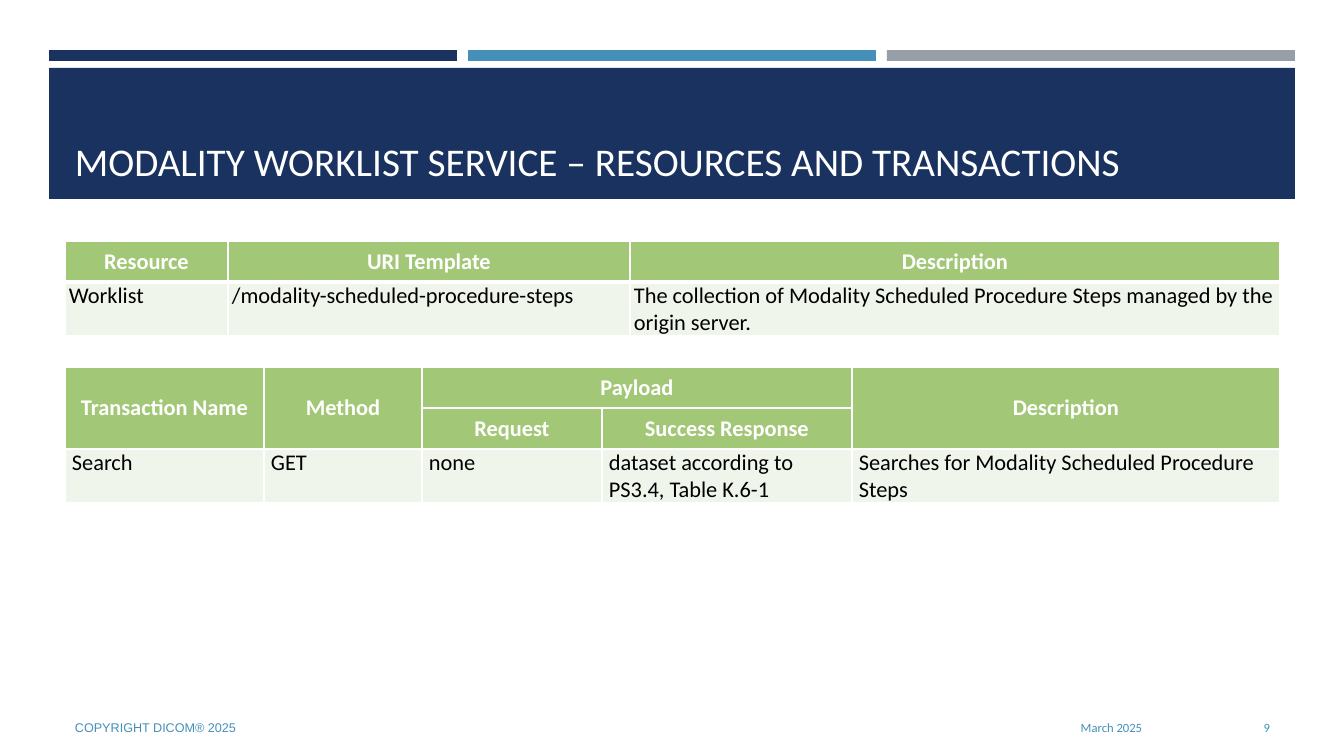
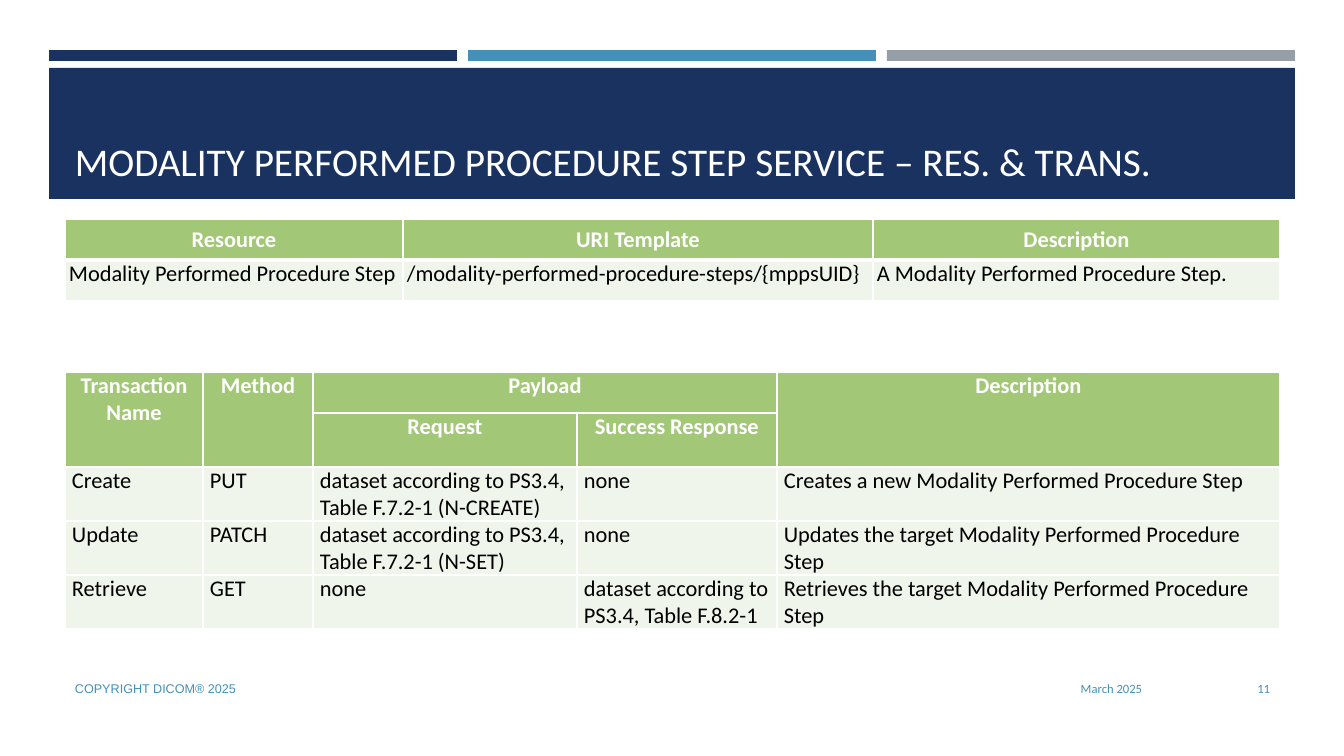
import pptx
import pptx.dml.color
import pptx.enum.shapes
import pptx.enum.text
import pptx.oxml
import pptx.oxml.ns
import pptx.util

RGBColor = pptx.dml.color.RGBColor
Align = pptx.enum.text.PP_ALIGN
Anchor = pptx.enum.text.MSO_ANCHOR

NAVY = RGBColor(0x1A, 0x32, 0x60)
BLUE = RGBColor(0x45, 0x90, 0xB8)
GREY = RGBColor(0x96, 0x9F, 0xA7)
GREEN = RGBColor(0xA2, 0xC7, 0x77)
PALE = RGBColor(0xF0, 0xF5, 0xEC)
WHITE = RGBColor(0xFF, 0xFF, 0xFF)
BLACK = RGBColor(0x00, 0x00, 0x00)

PX_PER_INCH = 100.8
PAGE_SIZE = (1344, 756)
BAND = (49, 68, 1246, 131)
CONTENT_LEFT = 65
HEADER_ROW = 41
TWO_LINE_ROW = 54

RESOURCE_HEADER = ["Resource", "URI Template", "Description"]
TRANSACTION_HEADER = [
    ["Transaction Name", "Method", "Payload", "", "Description"],
    ["", "", "Request", "Success Response", ""],
]
TRANSACTION_MERGES = [((0, 0), (1, 0)), ((0, 1), (1, 1)), ((0, 2), (0, 3)), ((0, 4), (1, 4))]


def px(length):
    return pptx.util.Emu(round(length * 914400 / PX_PER_INCH))


def add_run(para, text, size, color, font="Calibri", bold=False):
    span = para.add_run()
    span.text = text
    span.font.size = pptx.util.Pt(size)
    span.font.name = font
    span.font.bold = bold
    span.font.color.rgb = color


def add_text(page, box, text, size, color, font="Calibri", align=Align.LEFT, anchor=Anchor.MIDDLE):
    frame = page.shapes.add_textbox(*map(px, box)).text_frame
    frame.word_wrap = True
    frame.vertical_anchor = anchor
    para = frame.paragraphs[0]
    para.alignment = align
    add_run(para, text, size, color, font)


def add_block(page, box, color):
    block = page.shapes.add_shape(pptx.enum.shapes.MSO_SHAPE.RECTANGLE, *map(px, box))
    block.shadow.inherit = False
    block.fill.solid()
    block.fill.fore_color.rgb = color
    block.line.fill.background()


def add_title_band(page, box, title):
    """Three thin bars above a filled band that holds the title."""
    left, top, width, height = box
    bar_gap = 11
    bar_width = (width - 2 * bar_gap) // 3
    for index, color in enumerate((NAVY, BLUE, GREY)):
        add_block(page, (left + index * (bar_width + bar_gap), top - 18, bar_width, 11), color)
    add_block(page, box, NAVY)
    add_text(page, (CONTENT_LEFT, top + 10, width - 30, height - 20), title, 28, WHITE,
             anchor=Anchor.BOTTOM)


def add_footer(page, top, number):
    add_text(page, (CONTENT_LEFT, top, 762, 40), "COPYRIGHT DICOM® 2025", 9, BLUE, font="Arial")
    add_text(page, (839, top, 313, 40), "March 2025", 9, BLUE, align=Align.RIGHT)
    add_text(page, (1164, top, 116, 40), str(number), 9, BLUE, align=Align.RIGHT)


def set_borders(cell, top_width, bottom_width):
    """White rules on all four sides, widths in points; call before filling."""
    properties = cell._tc.get_or_add_tcPr()
    for side, width in (("L", 1), ("R", 1), ("T", top_width), ("B", bottom_width)):
        properties.append(pptx.oxml.parse_xml(
            f'<a:ln{side} {pptx.oxml.ns.nsdecls("a")} w="{pptx.util.Pt(width)}">'
            f'<a:solidFill><a:srgbClr val="{WHITE}"/></a:solidFill></a:ln{side}>'))


def fill_cell(cell, text, is_header, anchor, margin):
    cell.fill.solid()
    cell.fill.fore_color.rgb = GREEN if is_header else PALE
    cell.margin_left = cell.margin_right = px(margin)
    cell.margin_top = cell.margin_bottom = 0
    cell.vertical_anchor = anchor if is_header else Anchor.TOP
    para = cell.text_frame.paragraphs[0]
    para.alignment = Align.CENTER if is_header else Align.LEFT
    para.space_before = para.space_after = pptx.util.Pt(2)
    if text:
        add_run(para, text, 16, WHITE if is_header else BLACK, bold=is_header)


def add_grid(page, top, widths, heights, rows, header_rows=1, header_rule=1,
             header_anchor=Anchor.MIDDLE, margin=7, merges=()):
    box = (CONTENT_LEFT, top, sum(widths), sum(heights))
    grid = page.shapes.add_table(len(rows), len(widths), *map(px, box)).table
    grid.horz_banding = False
    for column, width in zip(grid.columns, widths):
        column.width = px(width)
    for row, height in zip(grid.rows, heights):
        row.height = px(height)
    for row_index, texts in enumerate(rows):
        for column_index, text in enumerate(texts):
            cell = grid.cell(row_index, column_index)
            set_borders(cell,
                        header_rule if row_index == header_rows else 1,
                        header_rule if row_index == header_rows - 1 else 1)
            fill_cell(cell, text, row_index < header_rows, header_anchor, margin)
    for first, last in merges:
        grid.cell(*first).merge(grid.cell(*last))


def add_resources(page, top, widths, row_height, resource):
    add_grid(page, top, widths, [HEADER_ROW, row_height], [RESOURCE_HEADER, resource],
             header_rule=3, margin=4)


def add_transactions(page, top, widths, second_header, transactions, header_anchor):
    heights = [HEADER_ROW, second_header] + [TWO_LINE_ROW] * len(transactions)
    add_grid(page, top, widths, heights, TRANSACTION_HEADER + transactions, header_rows=2,
             header_anchor=header_anchor, merges=TRANSACTION_MERGES)


def add_service_page(deck, title, footer_top, number):
    page = deck.slides.add_slide(deck.slide_layouts[6])
    add_title_band(page, BAND, title)
    add_footer(page, footer_top, number)
    return page


def add_worklist_page(deck):
    page = add_service_page(deck, "MODALITY WORKLIST SERVICE – RESOURCES AND TRANSACTIONS", 708, 9)
    add_resources(page, 241, [163, 402, 650], TWO_LINE_ROW, [
        "Worklist", "/modality-scheduled-procedure-steps",
        "The collection of Modality Scheduled Procedure Steps managed by the origin server."])
    add_transactions(page, 367, [199, 158, 180, 250, 428], HEADER_ROW, [
        ["Search", "GET", "none", "dataset according to PS3.4, Table K.6-1",
         "Searches for Modality Scheduled Procedure Steps"],
    ], Anchor.MIDDLE)


def add_performed_step_page(deck):
    page = add_service_page(
        deck, "MODALITY PERFORMED PROCEDURE STEP SERVICE – RES. & TRANS.", 668, 11)
    add_resources(page, 219, [338, 470, 407], HEADER_ROW, [
        "Modality Performed Procedure Step", "/modality-performed-procedure-steps/{mppsUID}",
        "A Modality Performed Procedure Step."])
    add_transactions(page, 372, [138, 110, 264, 200, 503], TWO_LINE_ROW, [
        ["Create", "PUT", "dataset according to PS3.4, Table F.7.2-1 (N-CREATE)", "none",
         "Creates a new Modality Performed Procedure Step"],
        ["Update", "PATCH", "dataset according to PS3.4, Table F.7.2-1 (N-SET)", "none",
         "Updates the target Modality Performed Procedure Step"],
        ["Retrieve", "GET", "none", "dataset according to PS3.4, Table F.8.2-1",
         "Retrieves the target Modality Performed Procedure Step"],
    ], Anchor.TOP)


def main():
    deck = pptx.Presentation()
    deck.slide_width, deck.slide_height = map(px, PAGE_SIZE)
    add_worklist_page(deck)
    add_performed_step_page(deck)
    deck.save("out.pptx")


if __name__ == "__main__":
    main()
